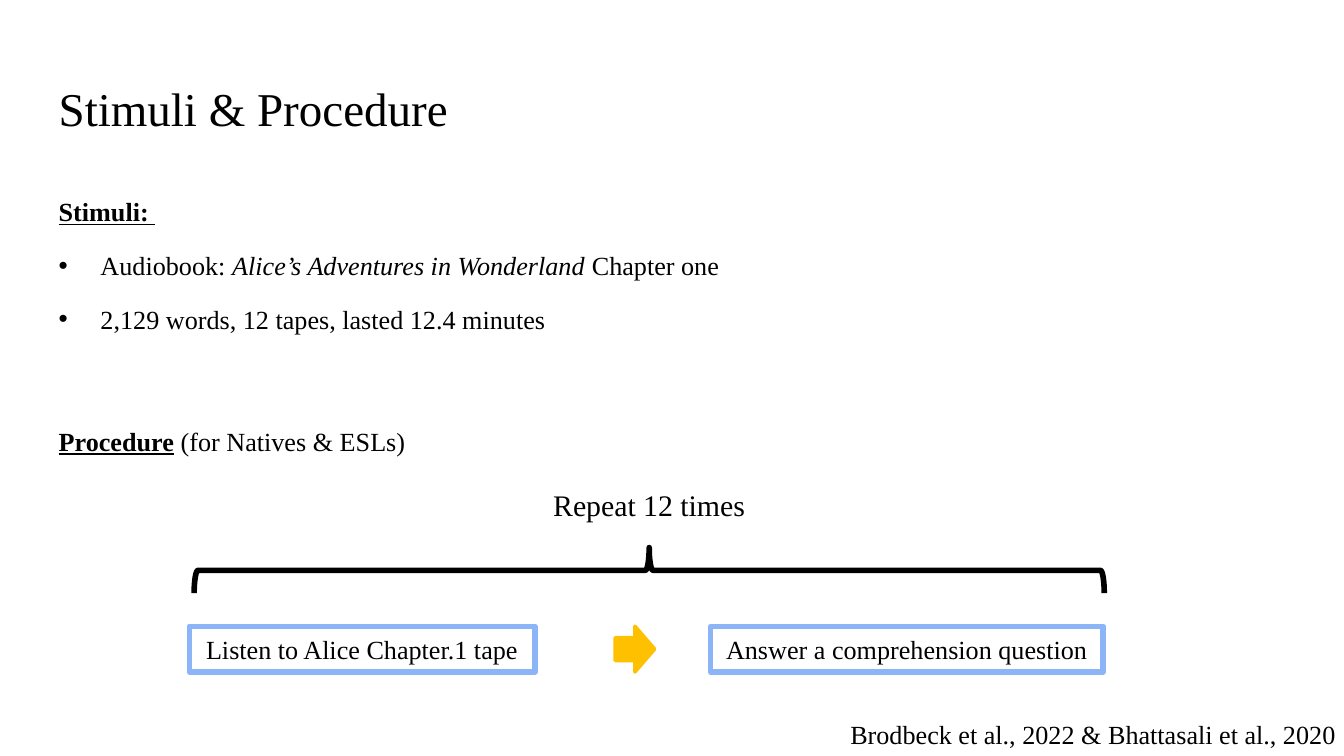
import pptx
import pptx.util
import pptx.dml.color
import pptx.enum.shapes
import pptx.enum.text
from lxml import etree

Cm = pptx.util.Cm
Pt = pptx.util.Pt
KIND = pptx.enum.shapes.MSO_SHAPE
ALIGN = pptx.enum.text.PP_ALIGN
MID = pptx.enum.text.MSO_ANCHOR.MIDDLE
HUE = {"ink": "000000", "frame": "8CB5F8", "arrow": "FFC000"}
FACE = "Times New Roman"
HEAD = {"bold": True, "underline": True}
ITAL = {"italic": True}


def tint(name):
    return pptx.dml.color.RGBColor.from_string(HUE[name])


def apply(item, form):
    for key, value in form.items():
        setattr(item, key, value)


def write(shape, paras, size=14, form=None, pad=0.13):
    frame = shape.text_frame
    apply(frame, {"word_wrap": True, "margin_left": Cm(0.25), "margin_right": Cm(0.25),
                  "margin_top": Cm(pad), "margin_bottom": Cm(pad), "vertical_anchor": MID})
    for num, parts in enumerate(paras):
        para = frame.add_paragraph() if num else frame.paragraphs[0]
        apply(para, form or {})
        for text, style in parts:
            run = para.add_run()
            run.text = text
            apply(run.font, {"name": FACE, "size": Pt(size), **style})
            run.font.color.rgb = tint("ink")
    return frame.paragraphs


def label(slide, box, paras, **opts):
    shape = slide.shapes.add_textbox(*map(Cm, box))
    return write(shape, paras, **opts)


def draw(slide, kind, box, line, width, fill=None):
    shape = slide.shapes.add_shape(kind, *map(Cm, box))
    shape.shadow.inherit = False
    shape.line.color.rgb = tint(line)
    shape.line.width = Pt(width)
    if fill:
        shape.fill.solid()
        shape.fill.fore_color.rgb = tint(fill)
    else:
        shape.fill.background()
    return shape


def bullet(para):
    props = para._p.get_or_add_pPr()
    props.set("marL", str(Cm(0.79)))
    props.set("indent", str(-Cm(0.79)))
    for tag, key, value in (("buFont", "typeface", "Arial"), ("buChar", "char", "•")):
        etree.SubElement(props, pptx.oxml.ns.qn("a:" + tag)).set(key, value)


def stimuli(slide, box):
    paras = label(slide, box, [
        [("Stimuli: ", HEAD)],
        [("Audiobook: ", {}), ("Alice’s Adventures in Wonderland", ITAL), (" Chapter one", {})],
        [("2,129 words, 12 tapes, lasted 12.4 minutes", {})],
    ])
    for para in paras[1:]:
        para.space_before = Pt(12)
        bullet(para)


def steps(slide, box):
    left, top, width, high = box
    first, last, arrow = 6.53, 7.42, 0.74
    for text, spot, wide in (("Listen to Alice Chapter.1 tape", left, first),
                             ("Answer a comprehension question", left + width - last, last)):
        shape = draw(slide, KIND.RECTANGLE, (spot, top, wide, high), "frame", 3)
        write(shape, [[(text, {})]], form={"alignment": ALIGN.CENTER})
    draw(slide, KIND.RIGHT_ARROW, (left + first + 1.52, top, arrow, high), "arrow", 2, "arrow")


def repeat(slide, box):
    left, top, width, high = box
    mid = left + width / 2
    label(slide, (mid - 2.1, top, 4.2, 0.94), [[("Repeat 12 times", {})]],
          size=16, form={"alignment": ALIGN.CENTER})
    deep = 0.86
    spot = (mid - deep / 2, top + high - deep / 2 - width / 2, deep, width)
    brace = draw(slide, KIND.RIGHT_BRACE, spot, "ink", 3)
    brace.rotation = 270


def main():
    deck = pptx.Presentation()
    apply(deck, {"slide_width": Cm(25.4), "slide_height": Cm(14.29)})
    slide = deck.slides.add_slide(deck.slide_layouts[6])
    label(slide, (0.86, 1.24, 23.67, 1.6), [[("Stimuli & Procedure", {})]], size=25.2, pad=0.25)
    stimuli(slide, (0.86, 3.56, 17.25, 2.9))
    label(slide, (0.86, 7.9, 12.7, 0.86), [[("Procedure", HEAD), (" (for Natives & ESLs)", {})]])
    steps(slide, (3.58, 11.84, 17.27, 0.86))
    repeat(slide, (3.67, 9.07, 17.2, 2.14))
    label(slide, (15.82, 13.44, 10.19, 0.86),
          [[("Brodbeck et al., 2022 & Bhattasali et al., 2020", {})]])
    deck.save("out.pptx")


if __name__ == "__main__":
    main()
